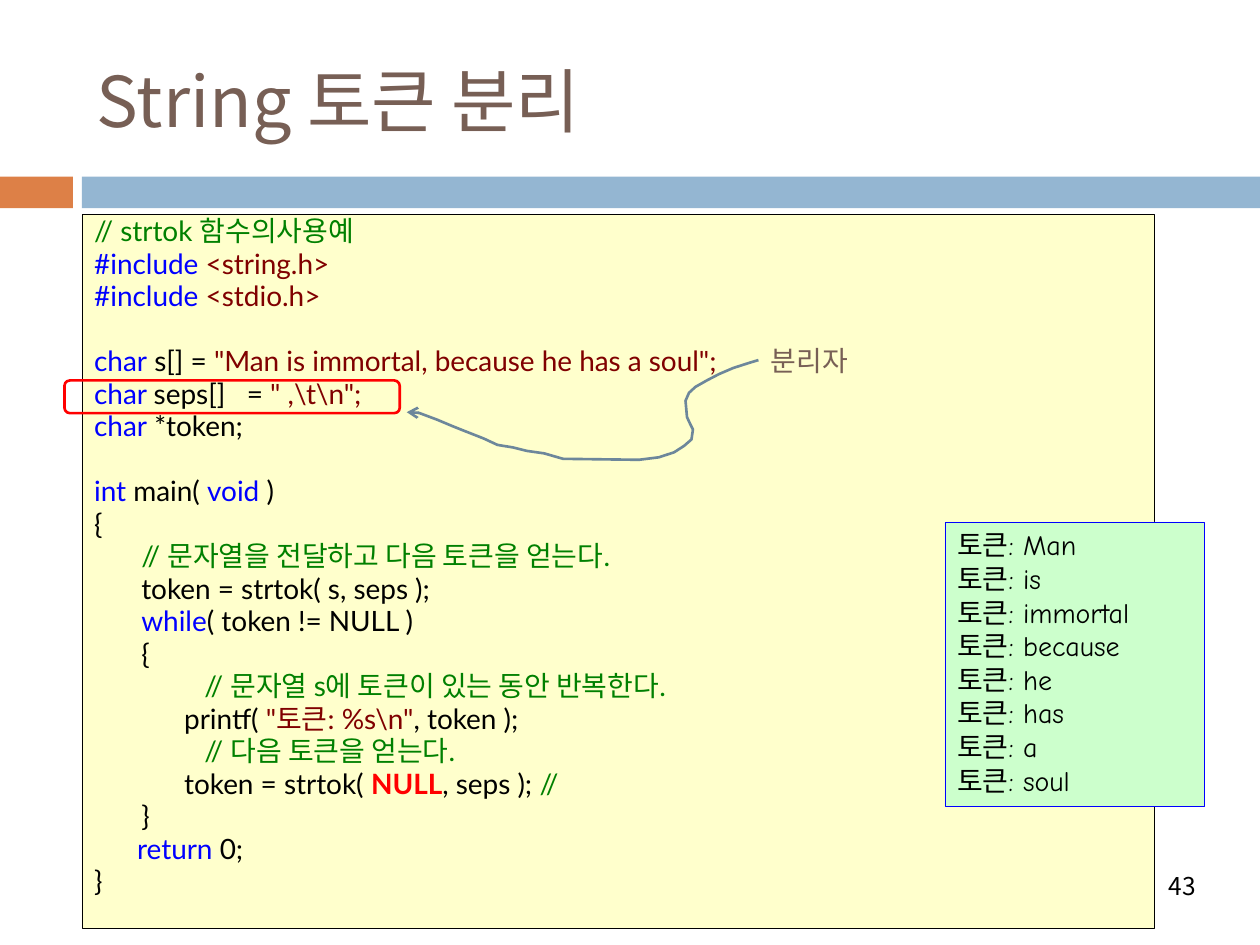
from typing import NamedTuple, Optional

from lxml import etree
from pptx import Presentation
from pptx.dml.color import RGBColor
from pptx.enum.shapes import MSO_SHAPE
from pptx.enum.text import MSO_ANCHOR, MSO_AUTO_SIZE, PP_ALIGN
from pptx.oxml.ns import qn
from pptx.util import Cm, Pt

RECTANGLE = MSO_SHAPE.RECTANGLE
ROUNDED = MSO_SHAPE.ROUNDED_RECTANGLE
TOP, MIDDLE = MSO_ANCHOR.TOP, MSO_ANCHOR.MIDDLE
LEFT, RIGHT, JUSTIFY = PP_ALIGN.LEFT, PP_ALIGN.RIGHT, PP_ALIGN.JUSTIFY
NO_AUTOFIT = MSO_AUTO_SIZE.NONE

KOREAN_FONT, CODE_FONT, OUTPUT_FONT = "Noto Sans CJK KR", "Lato", "Comic Neue"
BLACK, BROWN, RED = "000000", "775F55", "FF0000"
KEYWORD, LITERAL, COMMENT = "0000FF", "800000", "008000"

CODE_SIZE = 16
LINE_GAP = 3.2
BLANK_LINE = 18.6


class Box(NamedTuple):
    left: float
    top: float
    width: float
    height: float
    fill: Optional[str] = None
    line: Optional[str] = None
    line_width: float = 0
    preset: int = RECTANGLE


class Run(NamedTuple):
    text: str
    color: str = BLACK
    bold: bool = False


class CodeLine(NamedTuple):
    runs: list
    after_blank: bool = False


ORANGE_BAR = Box(0, 3.56, 1.47, 0.64, "DD8047")
BLUE_BAR = Box(1.65, 3.56, 23.75, 0.64, "94B6D2")
CODE_BOX = Box(1.65, 4.32, 21.62, 14.4, "FFFFCC", BLACK, 0.25)
HIGHLIGHT = Box(1.3, 7.67, 6.76, 0.66, None, RED, 1.5, ROUNDED)
OUTPUT_BOX = Box(19.05, 10.52, 5.23, 5.74, "CCFFCC", KEYWORD, 0.33)
TITLE_BOX = Box(1.7, 0.64, 22.66, 2.74)
LABEL_BOX = Box(15.29, 6.81, 2.41, 0.94)
NUMBER_BOX = Box(17.3, 17.35, 7.06, 1.02)

CODE = [
    CodeLine([Run("// strtok 함수의사용예", COMMENT)]),
    CodeLine([Run("#include ", KEYWORD), Run("<string.h>", LITERAL)]),
    CodeLine([Run("#include ", KEYWORD), Run("<stdio.h>", LITERAL)]),
    CodeLine([Run("char", KEYWORD), Run(" s[] = "),
              Run('"Man is immortal, because he has a soul";', LITERAL)], True),
    CodeLine([Run("char ", KEYWORD), Run("seps[]   = "), Run(r'" ,\t\n";', LITERAL)]),
    CodeLine([Run("char", KEYWORD), Run(" *token;")]),
    CodeLine([Run("int", KEYWORD), Run(" main( "), Run("void", KEYWORD), Run(" )")], True),
    CodeLine([Run("{")]),
    CodeLine([Run("\t// 문자열을 전달하고 다음 토큰을 얻는다.", COMMENT)]),
    CodeLine([Run("\ttoken = strtok( s, seps );")]),
    CodeLine([Run("\twhile", KEYWORD), Run("( token != NULL )")]),
    CodeLine([Run("\t{")]),
    CodeLine([Run("\t\t// 문자열 s에 토큰이 있는 동안 반복한다.", COMMENT)]),
    CodeLine([Run("\t      printf( "), Run(r'"토큰: %s\n"', LITERAL), Run(", token );")]),
    CodeLine([Run("\t\t// 다음 토큰을 얻는다.", COMMENT)]),
    CodeLine([Run("\t      token = strtok( "), Run("NULL", RED, True), Run(", seps ); "),
              Run("//", COMMENT)]),
    CodeLine([Run("   \t}")]),
    CodeLine([Run("      return", KEYWORD), Run(" 0;")]),
    CodeLine([Run("}")]),
]

TOKENS = ["Man", "is", "immortal", "because", "he", "has", "a", "soul"]

ARROW_POINTS = [
    (15.29, 7.26), (15.09, 7.32), (14.78, 7.42), (14.5, 7.54), (14.25, 7.67),
    (14.02, 7.8), (13.89, 7.92), (13.82, 8.08), (13.85, 8.41), (13.92, 8.56),
    (13.97, 8.66), (13.94, 8.86), (13.79, 8.99), (13.59, 9.12), (13.28, 9.22),
    (12.88, 9.27), (11.35, 9.25), (10.97, 9.14), (10.62, 9.09), (10.34, 9.02),
    (10.03, 8.97), (9.75, 8.84), (9.37, 8.69), (9.12, 8.59), (8.81, 8.46),
    (8.41, 8.31), (8.2, 8.31),
]


def rgb(color: str) -> RGBColor:
    return RGBColor.from_string(color)


def position(box: Box) -> tuple:
    return Cm(box.left), Cm(box.top), Cm(box.width), Cm(box.height)


def add_box(slide, box: Box):
    shape = slide.shapes.add_shape(box.preset, *position(box))
    shape.shadow.inherit = False
    if box.fill:
        shape.fill.solid()
        shape.fill.fore_color.rgb = rgb(box.fill)
    else:
        shape.fill.background()
    if box.line:
        shape.line.color.rgb = rgb(box.line)
        shape.line.width = Pt(box.line_width)
    else:
        shape.line.fill.background()
    return shape


def add_text(paragraph, text: str, *, font: str = KOREAN_FONT, size: float = 16,
             color: str = BLACK, bold: bool = False, align: int = LEFT) -> None:
    paragraph.alignment = align
    run = paragraph.add_run()
    run.text = text
    run.font.name = font
    run.font.size = Pt(size)
    run.font.bold = bold
    run.font.color.rgb = rgb(color)
    east_asian = etree.SubElement(run.font._element, qn("a:ea"))
    east_asian.set("typeface", KOREAN_FONT)


def prepare_frame(shape, anchor: int = TOP, wrap: bool = True):
    frame = shape.text_frame
    frame.auto_size = NO_AUTOFIT
    frame.word_wrap = wrap
    frame.vertical_anchor = anchor
    return frame


def next_paragraph(frame, index: int):
    return frame.add_paragraph() if index else frame.paragraphs[0]


def add_code(slide) -> None:
    frame = prepare_frame(add_box(slide, CODE_BOX))
    for index, line in enumerate(CODE):
        paragraph = next_paragraph(frame, index)
        properties = paragraph._p.get_or_add_pPr()
        properties.set("marL", str(Cm(0.95)))
        properties.set("indent", str(Cm(-0.95)))
        paragraph.line_spacing = 0.8
        if index:
            paragraph.space_before = Pt(LINE_GAP + BLANK_LINE * line.after_blank)
        for run in line.runs:
            add_text(paragraph, run.text, font=CODE_FONT, size=CODE_SIZE,
                     color=run.color, bold=run.bold)


def add_output(slide) -> None:
    frame = prepare_frame(add_box(slide, OUTPUT_BOX))
    for index, token in enumerate(TOKENS):
        add_text(next_paragraph(frame, index), f"토큰: {token}",
                 font=OUTPUT_FONT, align=JUSTIFY)


def add_curved_arrow(slide) -> None:
    points = [(Cm(x), Cm(y)) for x, y in ARROW_POINTS]
    builder = slide.shapes.build_freeform(*points[0])
    builder.add_line_segments(points[1:], close=False)
    shape = builder.convert_to_shape()
    shape.shadow.inherit = False
    shape.fill.background()
    shape.line.color.rgb = rgb("6D879B")
    shape.line.width = Pt(1.5)
    tail = etree.SubElement(shape.line._get_or_add_ln(), qn("a:tailEnd"))
    tail.set("type", "arrow")


def main() -> None:
    presentation = Presentation()
    presentation.slide_width, presentation.slide_height = Cm(25.4), Cm(19.05)
    slide = presentation.slides.add_slide(presentation.slide_layouts[5])

    add_box(slide, ORANGE_BAR)
    add_box(slide, BLUE_BAR)
    title = slide.shapes.title
    title.left, title.top, title.width, title.height = position(TITLE_BOX)
    add_text(prepare_frame(title, MIDDLE).paragraphs[0], "String 토큰 분리",
             size=40, color=BROWN)

    add_code(slide)
    add_box(slide, HIGHLIGHT)
    label = slide.shapes.add_textbox(*position(LABEL_BOX))
    add_text(prepare_frame(label, wrap=False).paragraphs[0], "분리자", color=BROWN)
    add_curved_arrow(slide)
    add_output(slide)
    number = slide.shapes.add_textbox(*position(NUMBER_BOX))
    add_text(prepare_frame(number, MIDDLE).paragraphs[0], "43", size=14, align=RIGHT)

    presentation.save("out.pptx")


if __name__ == "__main__":
    main()
